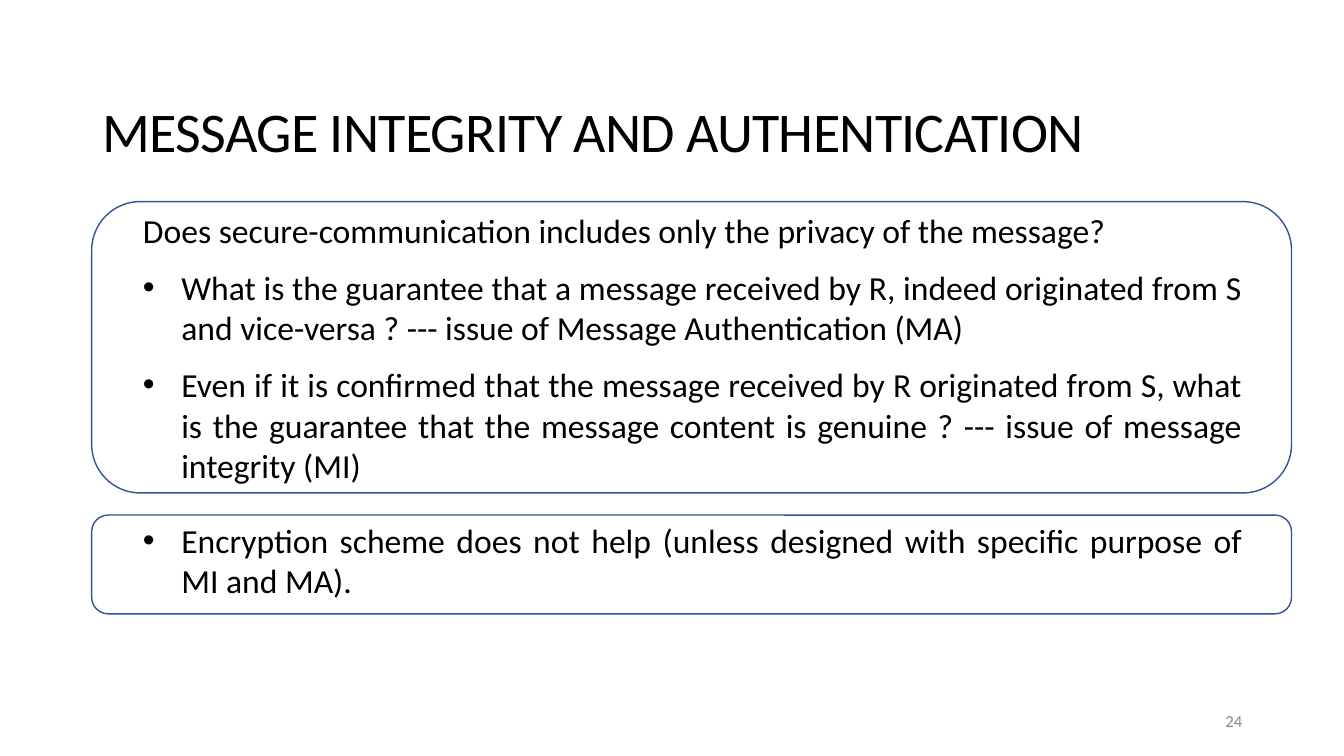
from pptx import Presentation
from pptx.dml.color import RGBColor
from pptx.enum.shapes import MSO_SHAPE
from pptx.enum.text import MSO_ANCHOR, PP_ALIGN
from pptx.oxml.ns import qn
from pptx.util import Inches, Pt
from lxml import etree

BLACK = RGBColor(0x00, 0x00, 0x00)
GRAY = RGBColor(0x89, 0x89, 0x89)
BLUE = RGBColor(0x32, 0x54, 0x91)

prs = Presentation()
prs.slide_width = Inches(13.33)
prs.slide_height = Inches(7.5)
s = prs.slides.add_slide(prs.slide_layouts[6])


def add_text_frame(left, top, width, height, anchor):
    tf = s.shapes.add_textbox(Inches(left), Inches(top), Inches(width), Inches(height)).text_frame
    tf.word_wrap = True
    tf.vertical_anchor = anchor
    return tf


def add_run(p, text, size, color):
    r = p.add_run()
    r.text = text
    r.font.name = "Calibri"
    r.font.size = Pt(size)
    r.font.color.rgb = color
    return r


tf = add_text_frame(9.42, 6.95, 3, 0.4, MSO_ANCHOR.MIDDLE)
p = tf.paragraphs[0]
p.alignment = PP_ALIGN.RIGHT
add_run(p, "24", 12, GRAY)

tf = add_text_frame(0.92, 0.86, 11, 0.97, MSO_ANCHOR.MIDDLE)
p = tf.paragraphs[0]
p.line_spacing = 0.85
r = add_run(p, "MESSAGE INTEGRITY AND AUTHENTICATION", 40, BLACK)
r.font._element.set("spc", "-50")

panels = [
    (2, 2.89, 2.03, 2.86, [
        (False, "Does secure-communication includes only the privacy of the message?"),
        (True, "What is the guarantee that a message received by R, indeed originated from S "
               "and vice-versa ? --- issue of Message Authentication (MA)"),
        (True, "Even if it is confirmed that the message received by R originated from S, what "
               "is the guarantee that the message content is genuine ? --- issue of message "
               "integrity (MI)"),
    ]),
    (5.11, 0.98, 5.11, 0.91, [
        (True, "Encryption scheme does not help (unless designed with specific purpose of "
               "MI and MA)."),
    ]),
]

for box_top, box_height, text_top, text_height, lines in panels:
    sp = s.shapes.add_shape(MSO_SHAPE.ROUNDED_RECTANGLE, Inches(0.91), Inches(box_top),
                            Inches(11.9), Inches(box_height))
    sp.shadow.inherit = False
    sp.fill.background()
    sp.line.color.rgb = BLUE
    sp.line.width = Pt(1)

    tf = add_text_frame(1.32, text_top, 11.1, text_height, MSO_ANCHOR.TOP)
    for i, (bulleted, text) in enumerate(lines):
        p = tf.add_paragraph() if i else tf.paragraphs[0]
        p.alignment = PP_ALIGN.JUSTIFY
        p.space_after = Pt(12)
        if bulleted:
            pPr = p._p.get_or_add_pPr()
            pPr.set("marL", str(Inches(0.38)))
            pPr.set("indent", str(-Inches(0.38)))
            etree.SubElement(pPr, qn("a:buFont"), typeface="Arial")
            etree.SubElement(pPr, qn("a:buChar"), char="•")
        add_run(p, text, 24, BLACK)

prs.save("out.pptx")
